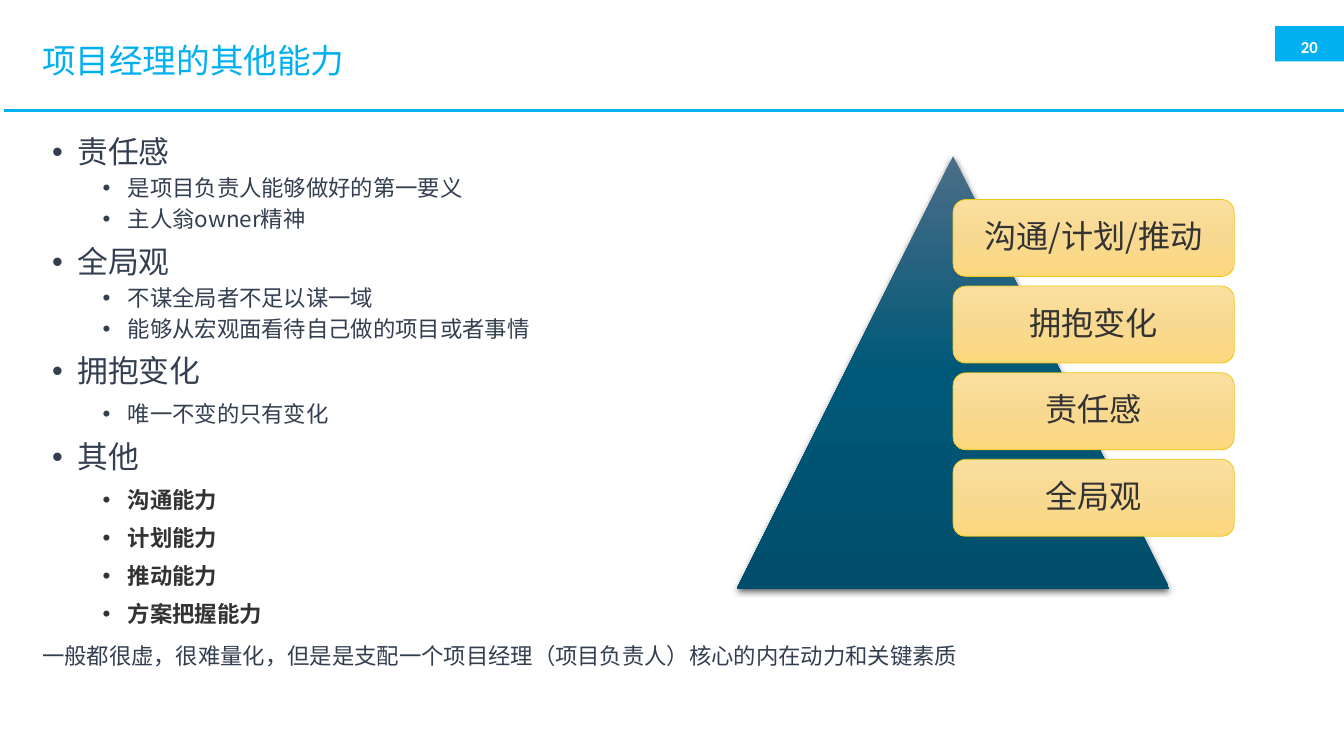
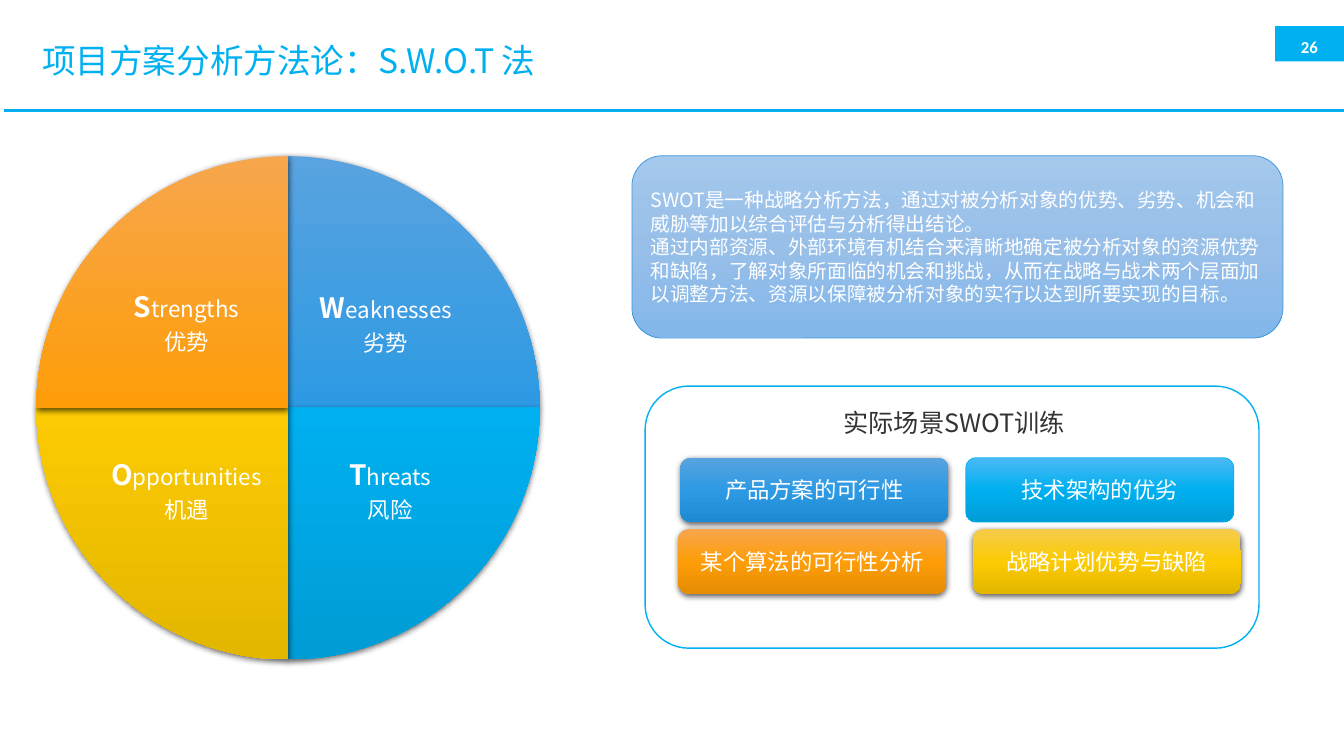
from copy import deepcopy

from lxml.etree import SubElement
from pptx import Presentation
from pptx.dml.color import RGBColor
from pptx.enum.shapes import MSO_CONNECTOR, MSO_SHAPE
from pptx.enum.text import MSO_ANCHOR, PP_ALIGN
from pptx.oxml.ns import qn
from pptx.util import Pt

FONT = "Noto Sans CJK SC"
COLORS = {"accent": "00B0F0", "white": "FFFFFF", "slate": "333F50", "dark": "333333",
          "gold": "F1C40E", "blue": "3598DB", "black": "000000"}
GRADIENTS = {
    "teal": ("4B6E88", "005878", "004E6B"),
    "cream": ("FADF9F", "F8D991", "FCD87C"),
    "blue": ("59A3E0", "2D9AE3", "1E8AD3"),
    "cyan": ("4BB9F5", "00B0F0", "009CD5"),
    "orange": ("F7A64D", "FE9D08", "E58D04"),
    "yellow": ("F5CB4C", "FCCB03", "E3B600"),
    "pale": ("A5C8ED", "97BFE8", "83B7EA"),
}
LEFT, CENTER = PP_ALIGN.LEFT, PP_ALIGN.CENTER
TOP, MIDDLE, BOTTOM = MSO_ANCHOR.TOP, MSO_ANCHOR.MIDDLE, MSO_ANCHOR.BOTTOM


def rgb(name):
    return RGBColor.from_string(COLORS[name])


def points(box):
    return [Pt(length) for length in box]


def add_bullet(para, indent, hanging=18):
    properties = para._p.get_or_add_pPr()
    properties.set("marL", str(Pt(indent)))
    properties.set("indent", str(-Pt(hanging)))
    SubElement(properties, qn("a:buFont"), typeface="Arial")
    SubElement(properties, qn("a:buChar"), char="•")


def write(frame, content, size=16, color="white", bold=False, font=FONT, align=CENTER,
          spacing=None, before=0, after=0, bullet=None):
    """Append a paragraph; content is a string or a list of (text, size, bold)."""
    is_first = not frame.paragraphs[0].runs
    para = frame.paragraphs[0] if is_first else frame.add_paragraph()
    if bullet is not None:
        add_bullet(para, bullet)
    para.alignment = align
    para.line_spacing = spacing
    para.space_before = Pt(0 if is_first else before)
    para.space_after = Pt(after)
    spans = [(content, size, bold)] if isinstance(content, str) else content
    for text, span_size, span_bold in spans:
        span = para.add_run()
        span.text = text
        span.font.name = font
        SubElement(span.font._element, qn("a:ea"), typeface=font)
        span.font.size = Pt(span_size)
        span.font.bold = span_bold
        span.font.color.rgb = rgb(color)


def set_frame(frame, anchor, inset=None):
    frame.word_wrap = True
    frame.vertical_anchor = anchor
    if inset is not None:
        frame.margin_left = frame.margin_right = Pt(inset)
        frame.margin_top = frame.margin_bottom = Pt(inset)
    return frame


def add_text_frame(page, box, anchor=TOP, inset=None):
    return set_frame(page.shapes.add_textbox(*points(box)).text_frame, anchor, inset)


def add_figure(page, kind, box, fill=None, gradient=None, line=None, weight=0.5, shadow=False):
    figure = page.shapes.add_shape(kind, *points(box))
    figure.shadow.inherit = False
    if gradient:
        fill_gradient(figure, GRADIENTS[gradient])
    else:
        figure.fill.solid()
        figure.fill.fore_color.rgb = rgb(fill)
    if line:
        figure.line.color.rgb = rgb(line)
        figure.line.width = Pt(weight)
    else:
        figure.line.fill.background()
    if shadow:
        add_shadow(figure)
    set_frame(figure.text_frame, MIDDLE)
    return figure


def fill_gradient(figure, colors):
    figure.fill.gradient()
    figure.fill.gradient_angle = 270
    stop_list = next(figure._element.spPr.iter(qn("a:gsLst")))
    stop_list.insert(1, deepcopy(stop_list[0]))
    for stop, color, position in zip(figure.fill.gradient_stops, colors, (0, 0.5, 1)):
        stop.color.rgb = RGBColor.from_string(color)
        stop.position = position


def add_shadow(figure):
    effects = figure._element.spPr.find(qn("a:effectLst"))
    outer = SubElement(effects, qn("a:outerShdw"), blurRad=str(Pt(4.5)), dist=str(Pt(1.5)),
                       dir="5400000", algn="ctr", rotWithShape="0")
    color = SubElement(outer, qn("a:srgbClr"), val=COLORS["black"])
    SubElement(color, qn("a:alpha"), val="63000")


def add_page(deck, title, number):
    """Blank page with the shared title, rule and page number."""
    page = deck.slides.add_slide(deck.slide_layouts[6])
    add_figure(page, MSO_SHAPE.RECTANGLE, (910.8, 18.7, 49.2, 25.2), fill="accent")
    number_frame = add_text_frame(page, (918, 21.6, 34.6, 19.4), BOTTOM, inset=0)
    write(number_frame, str(number), size=12, bold=True, font="Calibri")
    rule = page.shapes.add_connector(MSO_CONNECTOR.STRAIGHT, *points((2.9, 78.8, 960, 78.8)))
    rule.line.color.rgb = rgb("accent")
    rule.line.width = Pt(1.75)
    SubElement(rule._element.spPr, qn("a:effectLst"))
    title_frame = add_text_frame(page, (23, 19.4, 845, 50.4), MIDDLE)
    write(title_frame, title, size=24, color="accent", align=LEFT, spacing=0.9)
    return page


def add_outline(page, box, groups):
    """Groups are (heading, items, space before each item, items stand out)."""
    frame = add_text_frame(page, box)
    shared = {"align": LEFT, "spacing": 0.9}
    for heading, items, gap, strong in groups:
        write(frame, heading, size=22, color="slate", before=10, bullet=18, **shared)
        for item in items:
            write(frame, item, color="dark" if strong else "slate", bold=strong,
                  before=gap, bullet=54, **shared)


def add_pyramid(page, box, labels):
    left, top, width, height = box
    add_figure(page, MSO_SHAPE.ISOSCELES_TRIANGLE, box, gradient="teal", shadow=True)
    card_height = height * 0.178
    pitch = card_height * 9 / 8
    for index, label in enumerate(labels):
        card_box = (left + width / 2, top + height * 0.1 + index * pitch,
                    width * 0.65, card_height)
        card = add_figure(page, MSO_SHAPE.ROUNDED_RECTANGLE, card_box,
                          gradient="cream", line="gold")
        set_frame(card.text_frame, MIDDLE, inset=7.2)
        write(card.text_frame, label, size=23, color="dark", spacing=0.9)


def add_swot_wheel(page, box, quarters):
    """Quarters are (word, translation, gradient, start in degrees, label offset)."""
    left, top = box[:2]
    degree = 0.6
    for word, translation, gradient, start, (across, down) in quarters:
        quarter = add_figure(page, MSO_SHAPE.PIE, box, gradient=gradient, shadow=True)
        quarter.adjustments[0] = start * degree
        quarter.adjustments[1] = (start + 90) % 360 * degree
        frame = add_text_frame(page, (left + across, top + down, 132.5, 107.3),
                               MIDDLE, inset=2.2)
        write(frame, [(word[0], 20, True), (word[1:], 16, False)], spacing=0.9, after=5.6)
        write(frame, translation, spacing=0.9, after=5.6)


def add_description(page, box, paragraphs):
    panel = add_figure(page, MSO_SHAPE.ROUNDED_RECTANGLE, box, gradient="pale", line="blue")
    for text in paragraphs:
        write(panel.text_frame, text, size=14, align=LEFT)


def add_training(page, box, heading, topics):
    """Topics are (label, gradient, offset in the panel, outline colour or None)."""
    left, top, width, _ = box
    add_figure(page, MSO_SHAPE.ROUNDED_RECTANGLE, box, fill="white", line="accent", weight=1)
    frame = add_text_frame(page, (left + 17, top + 11.5, width - 31, 28.8))
    write(frame, heading, size=18, color="dark")
    for label, gradient, (across, down), line in topics:
        button = add_figure(page, MSO_SHAPE.ROUNDED_RECTANGLE,
                            (left + across, top + down, 191.5, 46.1),
                            gradient=gradient, line=line, shadow=line is None)
        write(button.text_frame, label)


def add_abilities_page(deck):
    page = add_page(deck, "项目经理的其他能力", 20)
    add_outline(page, (30.2, 94.3, 569.5, 351.4), [
        ("责任感", ["是项目负责人能够做好的第一要义", "主人翁owner精神"], 5, False),
        ("全局观", ["不谋全局者不足以谋一域", "能够从宏观面看待自己做的项目或者事情"], 5, False),
        ("拥抱变化", ["唯一不变的只有变化"], 10, False),
        ("其他", ["沟通能力", "计划能力", "推动能力", "方案把握能力"], 10, True),
    ])
    summary = add_text_frame(page, (23, 457.2, 716.4, 28.1))
    write(summary, "一般都很虚，很难量化，但是是支配一个项目经理（项目负责人）核心的内在动力和关键素质",
          color="slate", align=LEFT, spacing=0.9)
    add_pyramid(page, (526.3, 111.6, 309, 309),
                ["沟通/计划/推动", "拥抱变化", "责任感", "全局观"])


def add_swot_page(deck):
    page = add_page(deck, "项目方案分析方法论：S.W.O.T 法", 26)
    add_training(page, (460.8, 275.8, 438.5, 187.2), "实际场景SWOT训练", [
        ("产品方案的可行性", "blue", (25.2, 51.1), None),
        ("某个算法的可行性分析", "orange", (23.8, 102.2), None),
        ("战略计划优势与缺陷", "yellow", (234, 102.2), None),
        ("技术架构的优劣", "cyan", (229, 51.1), "accent"),
    ])
    add_description(page, (451.4, 111.2, 465.1, 130.3), [
        "SWOT是一种战略分析方法，通过对被分析对象的优势、劣势、机会和威胁等加以综合评估与分析得出结论。",
        "通过内部资源、外部环境有机结合来清晰地确定被分析对象的资源优势和缺陷，"
        "了解对象所面临的机会和挑战，从而在战略与战术两个层面加以调整方法、"
        "资源以保障被分析对象的实行以达到所要实现的目标。",
    ])
    add_swot_wheel(page, (26, 111.6, 359.5, 359.5), [
        ("Weaknesses", "劣势", "blue", 270, (183.5, 67)),
        ("Threats", "风险", "cyan", 0, (186.5, 186.5)),
        ("Opportunities", "机遇", "yellow", 90, (41, 186.5)),
        ("Strengths", "优势", "orange", 180, (41, 66.5)),
    ])


def main():
    deck = Presentation()
    deck.slide_width, deck.slide_height = Pt(960), Pt(540)
    add_abilities_page(deck)
    add_swot_page(deck)
    deck.save("out.pptx")


if __name__ == "__main__":
    main()
